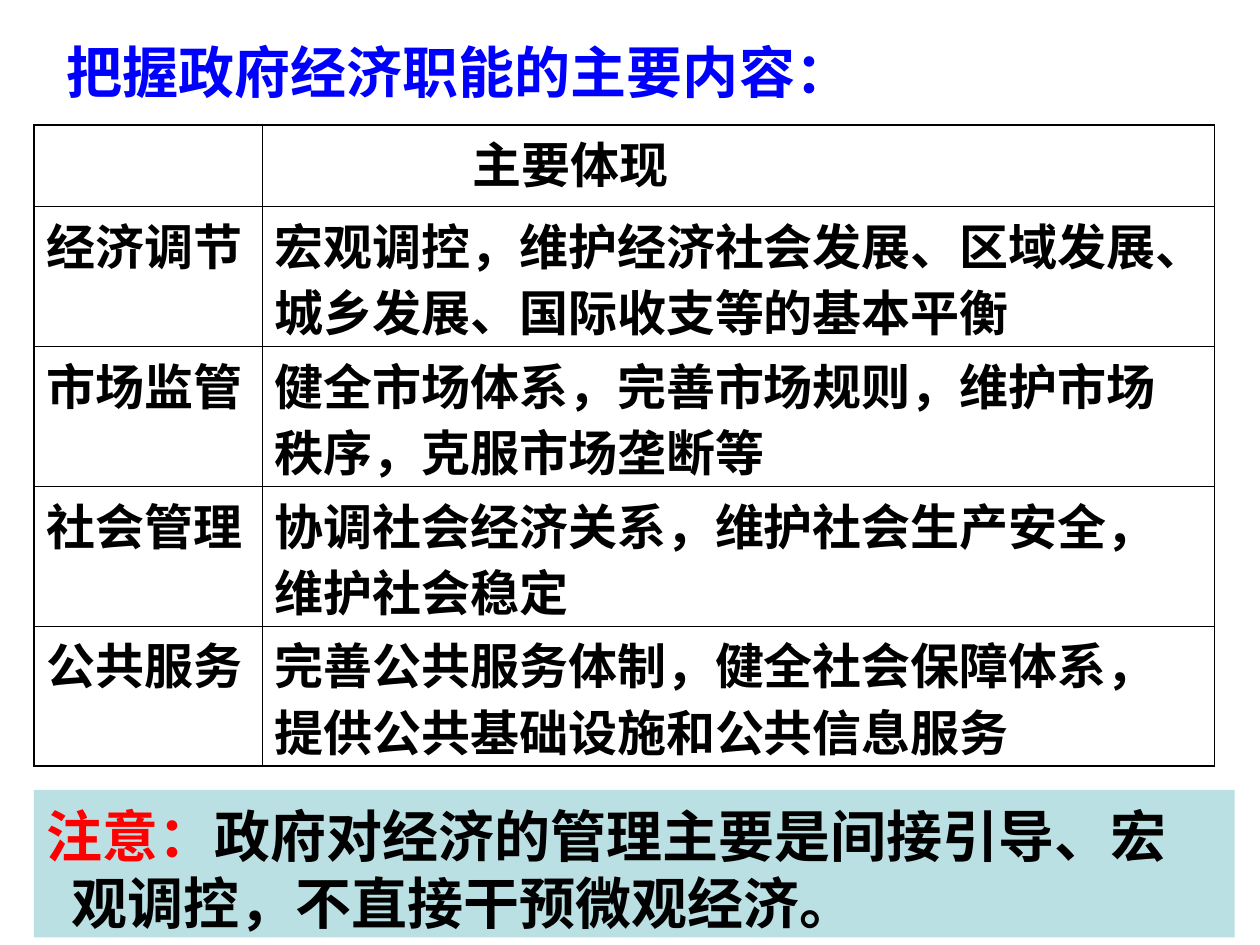
from dataclasses import dataclass
from typing import NamedTuple

from lxml.etree import SubElement
from pptx import Presentation
from pptx.dml.color import RGBColor
from pptx.enum.shapes import MSO_SHAPE
from pptx.enum.text import MSO_ANCHOR, MSO_AUTO_SIZE, PP_ALIGN
from pptx.oxml.ns import qn
from pptx.util import Inches, Pt


@dataclass(frozen=True)
class Theme:
    font: str = "Arial"
    blue: RGBColor = RGBColor(0x00, 0x00, 0xFF)
    red: RGBColor = RGBColor(0xFF, 0x00, 0x00)
    black: RGBColor = RGBColor(0x00, 0x00, 0x00)
    pale: RGBColor = RGBColor(0xBB, 0xE0, 0xE3)
    large: float = 32
    body: float = 28
    large_line: float = 38.4
    body_line: float = 38
    thin: float = 0.45
    thick: float = 1.08


class Duty(NamedTuple):
    name: str
    detail: str


THEME = Theme()
DUTIES = [
    Duty("经济调节", "宏观调控，维护经济社会发展、区域发展、城乡发展、国际收支等的基本平衡"),
    Duty("市场监管", "健全市场体系，完善市场规则，维护市场秩序，克服市场垄断等"),
    Duty("社会管理", "协调社会经济关系，维护社会生产安全，维护社会稳定"),
    Duty("公共服务", "完善公共服务体制，健全社会保障体系，提供公共基础设施和公共信息服务"),
]


def style(run, size: float, color: RGBColor) -> None:
    font = run.font
    font.name, font.size, font.bold = THEME.font, Pt(size), True
    font.color.rgb = color


def indent(para, left: float, first: float = 0) -> None:
    props = para._p.get_or_add_pPr()
    props.set("marL", str(Inches(left)))
    props.set("indent", str(Inches(first)))


def frame_box(shape, right: float = 0.1):
    """Set up a large-type box and return its first paragraph."""
    frame = shape.text_frame
    frame.word_wrap = True
    frame.auto_size = MSO_AUTO_SIZE.NONE
    frame.vertical_anchor = MSO_ANCHOR.TOP
    frame.margin_left, frame.margin_right = Inches(0.1), Inches(right)
    frame.margin_top, frame.margin_bottom = Inches(0.09), 0
    para = frame.paragraphs[0]
    para.alignment = PP_ALIGN.LEFT
    para.space_before = Pt(0)
    para.line_spacing = Pt(THEME.large_line)
    return para


def border(cell, widths: dict[str, float]) -> None:
    props = cell._tc.get_or_add_tcPr()
    for place, (side, width) in enumerate(widths.items()):
        line = SubElement(props, qn(f"a:ln{side}"), w=str(Pt(width)))
        fill = SubElement(line, qn("a:solidFill"))
        SubElement(fill, qn("a:srgbClr"), val=str(THEME.black))
        props.remove(line)
        props.insert(place, line)


def fill_cell(cell, text: str) -> None:
    cell.fill.background()
    cell.margin_left = cell.margin_right = Inches(0.1)
    cell.margin_top, cell.margin_bottom = Inches(0.05), 0
    cell.text_frame.text = text
    para = cell.text_frame.paragraphs[0]
    para.line_spacing = Pt(THEME.body_line)
    for run in para.runs:
        style(run, THEME.body, THEME.black)


def add_grid(slide) -> None:
    rows = [Duty("", "主要体现"), *DUTIES]
    grid = slide.shapes.add_table(
        len(rows), 2, Inches(0.27), Inches(0.99), Inches(9.37), Inches(5.09)
    ).table
    grid.first_row = grid.horz_banding = False
    for col, width in zip(grid.columns, (1.81, 7.56)):
        col.width = Inches(width)
    last = len(rows) - 1
    for r, duty in enumerate(rows):
        grid.rows[r].height = Inches(1.11 if r else 0.65)
        for c, text in enumerate(duty):
            cell = grid.cell(r, c)
            fill_cell(cell, text)
            edges = {"L": c == 0, "R": c == 1, "T": r == 0, "B": r == last}
            border(cell, {side: THEME.thick if outer else THEME.thin
                          for side, outer in edges.items()})
    indent(grid.cell(0, 1).text_frame.paragraphs[0], 1.57)


def add_title(slide) -> None:
    title = slide.shapes.title
    title.left, title.top = Inches(0.43), Inches(0.21)
    title.width, title.height = Inches(9.29), Inches(0.64)
    title.text_frame.text = "把握政府经济职能的主要内容："
    para = frame_box(title)
    style(para.runs[0], THEME.large, THEME.blue)


def add_note(slide) -> None:
    note = slide.shapes.add_shape(
        MSO_SHAPE.RECTANGLE, Inches(0.27), Inches(6.27), Inches(9.53), Inches(1.17)
    )
    note.shadow.inherit = False
    note.fill.solid()
    note.fill.fore_color.rgb = THEME.pale
    note.line.fill.background()
    para = frame_box(note, right=0.3)
    indent(para, 0.2, -0.2)
    parts = [
        ("注意：", THEME.red),
        ("政府对经济的管理主要是间接引导、宏观调控，不直接干预微观经济。", THEME.black),
    ]
    for text, color in parts:
        run = para.add_run()
        run.text = text
        style(run, THEME.large, color)


def main() -> None:
    deck = Presentation()
    deck.slide_width, deck.slide_height = Inches(10), Inches(7.5)
    slide = deck.slides.add_slide(deck.slide_layouts[5])
    # Heading, table of duties, closing note
    add_title(slide)
    add_grid(slide)
    add_note(slide)
    deck.save("out.pptx")


if __name__ == "__main__":
    main()
